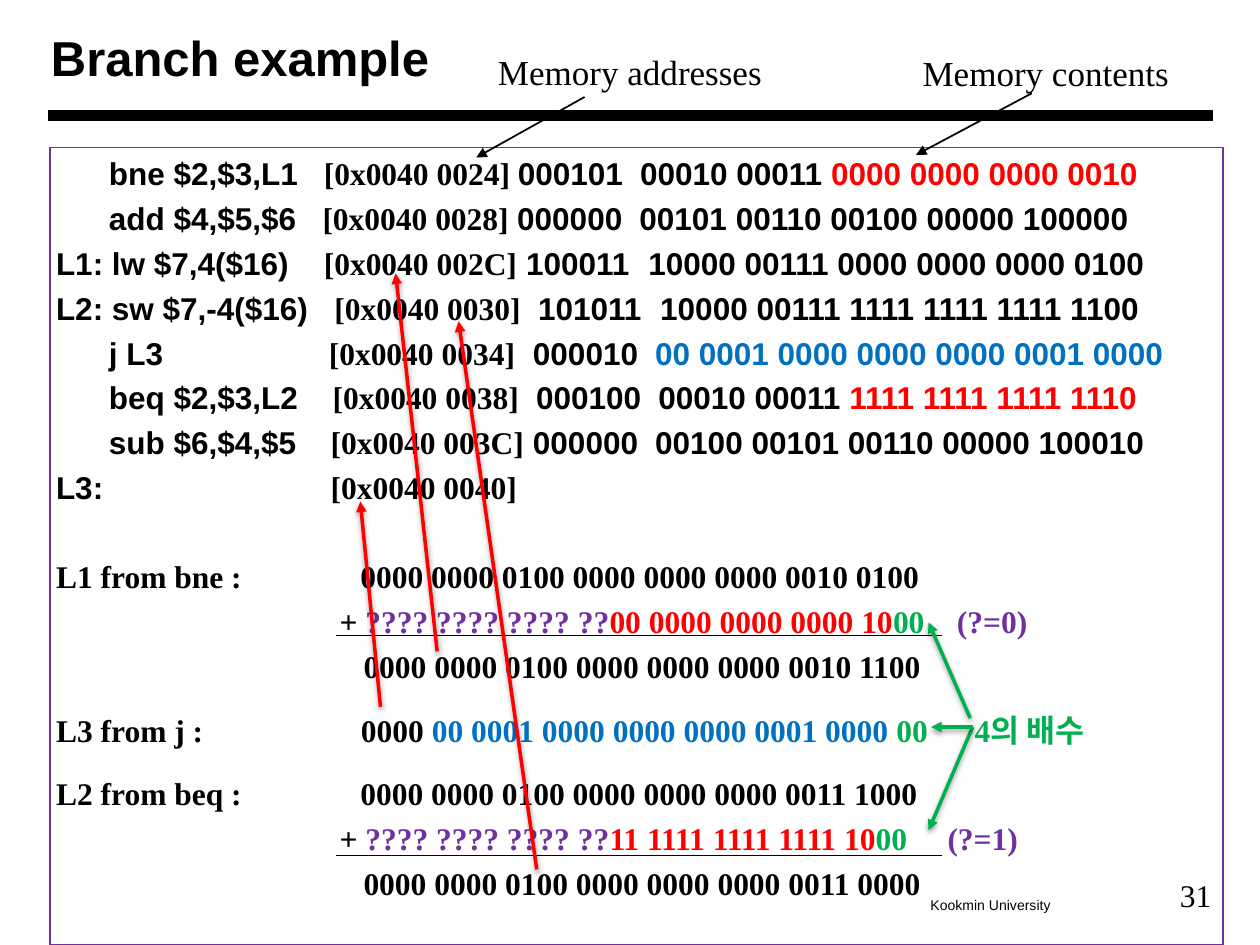
"""Build the branch example slide on a grid of 100 columns by 75 rows."""
from lxml import etree
from pptx import Presentation, util as u
from pptx.dml.color import RGBColor
from pptx.enum import shapes, text
from pptx.oxml import ns

BLACK = RGBColor(0x00, 0x00, 0x00)
RED = RGBColor(0xFF, 0x00, 0x00)
BLUE = RGBColor(0x00, 0x70, 0xC0)
GREEN = RGBColor(0x00, 0xB0, 0x50)
PURPLE = RGBColor(0x70, 0x30, 0xA0)
SANS, SERIF = "Arial", "Times New Roman"

deck = Presentation()
deck.slide_width, deck.slide_height = u.Inches(10), u.Inches(7.5)
cell = deck.slide_width // 100
slide = deck.slides.add_slide(deck.slide_layouts[6])


def grid(*nums):
    return [u.Emu(round(n * cell)) for n in nums]


def write(para, words, **form):
    run = para.add_run()
    run.text = words
    run.font.color.rgb = form.pop("color", BLACK)
    for key, val in form.items():
        setattr(run.font, key, val)


frame = {"margin_left": grid(0.5)[0], "margin_right": grid(0.5)[0],
         "margin_top": grid(0.5)[0], "margin_bottom": grid(0.5)[0]}
left, mid = text.PP_ALIGN.LEFT, text.PP_ALIGN.CENTER
top, centre = text.MSO_ANCHOR.TOP, text.MSO_ANCHOR.MIDDLE

labels = [
    ("Kookmin University", (73.35, 70.65, 10.6, 2.2), 8, SANS, left, top, False),
    ("31", (93.15, 69, 3.9, 3.8), 18, SERIF, left, top, False),
    ("Branch example", (3.55, 1.2, 83.3, 6.7), 28, SANS, left, centre, True),
    ("Memory addresses", (39, 3.5, 22, 4.1), 20, SERIF, mid, top, False),
    ("Memory contents", (72.65, 3.6, 20.7, 4.1), 20, SERIF, mid, top, False),
]
for words, place, size, face, align, anchor, bold in labels:
    area = slide.shapes.add_textbox(*grid(*place)).text_frame
    for key, val in {**frame, "word_wrap": bold, "vertical_anchor": anchor}.items():
        setattr(area, key, val)
    area.paragraphs[0].alignment = align
    write(area.paragraphs[0], words, size=u.Pt(size), name=face, bold=bold)

gap, wide = 4, 9.7
code = [
    ("\tbne $2,$3,L1", 21.25, "0024", 36.65, "000101",
     "00010 00011 ", "0000 0000 0000 0010", RED),
    ("\tadd $4,$5,$6", 21.15, "0028", 36.6, "000000",
     "00101 00110 00100 00000 100000", "", BLACK),
    ("L1: lw $7,4($16)", 21.25, "002C", 37.3, "100011",
     "10000 00111 0000 0000 0000 0100", "", BLACK),
    ("L2: sw $7,-4($16)", 22.1, "0030", 38.25, "101011",
     "10000 00111 1111 1111 1111 1100", "", BLACK),
    ("\tj L3", 21.65, "0034", 37.85, "000010",
     "", "00 0001 0000 0000 0000 0001 0000", BLUE),
    ("\tbeq $2,$3,L2", 21.95, "0038", 38.1, "000100",
     "00010 00011 ", "1111 1111 1111 1110", RED),
    ("\tsub $6,$4,$5", 21.8, "003C", 37.85, "000000",
     "00100 00101 00110 00000 100010", "", BLACK),
    ("L3:", 21.8, "0040", 37.85, "", "", "", BLACK),
]
rows = []
for order, near, addr, far, op, bits, tail, hue in code:
    runs = [(order + "\t", BLACK, SANS), (f"[0x0040 {addr}]", BLACK, SERIF)]
    if op:
        runs.append((f"\t{op}\t{bits}", BLACK, SANS))
    if tail:
        runs.append((tail, hue, SANS))
    rows.append(([4.2] * order.startswith("\t") + [near, far, far + wide], gap, 1, runs))

sums = [
    ([24.15], 29.6, 1, [("L1 from bne :\t0000 0000 0100 0000 0000 0000 0010 0100", BLACK)]),
    ([22.5, 71.5], gap, 1, [("\t+ ", BLACK), ("???? ???? ???? ??", PURPLE),
                            ("00 0000 0000 0000 10", RED), ("00\t", GREEN),
                            ("(?=0)", PURPLE)]),
    ([24.4], gap, 1, [("\t0000 0000 0100 0000 0000 0000 0010 1100", BLACK)]),
    ([24.2, 72.9], gap, 1.5, [("L3 from j :\t0000 ", BLACK),
                              ("00 0001 0000 0000 0000 0001 0000 ", BLUE),
                              ("00\t4의 배수", GREEN)]),
    ([24.15], gap, 1.5, [("L2 from beq :\t0000 0000 0100 0000 0000 0000 0011 1000", BLACK)]),
    ([22.5, 70.75], gap, 1, [("\t+ ", BLACK), ("???? ???? ???? ??", PURPLE),
                             ("11 1111 1111 1111 10", RED), ("00\t", GREEN),
                             ("(?=1)", PURPLE)]),
    ([24.4], gap, 1, [("\t0000 0000 0100 0000 0000 0000 0011 0000", BLACK)]),
]
for stops, above, pitch, runs in sums:
    rows.append((stops, above, pitch, [(*run, SERIF) for run in runs]))

panel = slide.shapes.add_shape(shapes.MSO_SHAPE.RECTANGLE, *grid(3.95, 11.7, 93.1, 63.3))
panel.shadow.inherit = False
panel.fill.background()
panel.line.color.rgb = PURPLE
panel.line.width = u.Pt(1)
body = panel.text_frame
for key, val in {**frame, "margin_top": grid(0.55)[0], "word_wrap": True,
                 "vertical_anchor": top}.items():
    setattr(body, key, val)
for num, (stops, above, pitch, runs) in enumerate(rows):
    para = body.add_paragraph() if num else body.paragraphs[0]
    tabs = etree.SubElement(para._p.get_or_add_pPr(), ns.qn("a:tabLst"))
    for stop in grid(*stops):
        etree.SubElement(tabs, ns.qn("a:tab"), pos=str(stop), algn="l")
    para.alignment = left
    para.space_before = u.Pt(above if num else 0)
    para.line_spacing = float(pitch)
    for words, hue, face in runs:
        write(para, words, color=hue, size=u.Pt(18), name=face, bold=True)

lines = [
    ((3.8, 9.15, 96.3, 9.15), BLACK, 6, False),
    ((46.4, 7.7, 37.8, 12.5), BLACK, 1, True),
    ((81.9, 7.4, 72.7, 12.3), BLACK, 1, True),
    ((26.7, 50.45, 74.8, 50.45), BLACK, 0.75, False),
    ((26.7, 67.9, 74.8, 67.9), BLACK, 0.75, False),
    ((77, 57, 73.7, 49.4), GREEN, 2, True),
    ((77.2, 57.7, 73.7, 65.9), GREEN, 2, True),
    ((77.2, 57.7, 73.9, 57.7), GREEN, 2, True),
    ((30.2, 56.1, 28.6, 39.8), RED, 2, True),
    ((34.7, 51.7, 31.4, 21.7), RED, 2, True),
    ((42.6, 69, 36.4, 25.5), RED, 2, True),
]
for ends, hue, width, arrow in lines:
    link = slide.shapes.add_connector(shapes.MSO_CONNECTOR.STRAIGHT, *grid(*ends))
    link.line.color.rgb = hue
    link.line.width = u.Pt(width)
    if arrow:
        etree.SubElement(link.line._get_or_add_ln(), ns.qn("a:tailEnd"), type="triangle")
    glow = etree.SubElement(link._element.spPr, ns.qn("a:effectLst"))
    if hue != BLACK:
        shade = etree.SubElement(glow, ns.qn("a:outerShdw"), blurRad=str(u.Pt(3)),
                                 dist=str(u.Pt(1.6)), dir="5400000", rotWithShape="0")
        tint = etree.SubElement(shade, ns.qn("a:srgbClr"), val=str(BLACK))
        etree.SubElement(tint, ns.qn("a:alpha"), val="38000")

deck.save("out.pptx")
